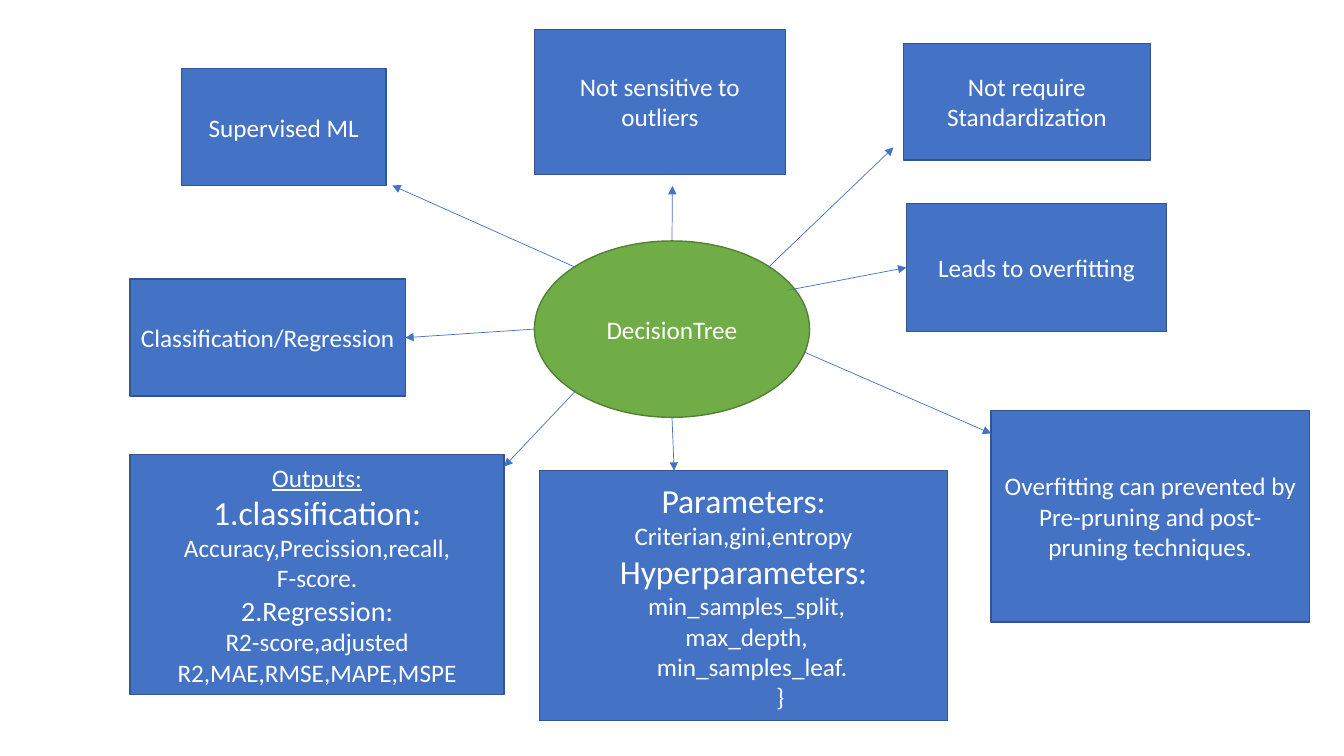
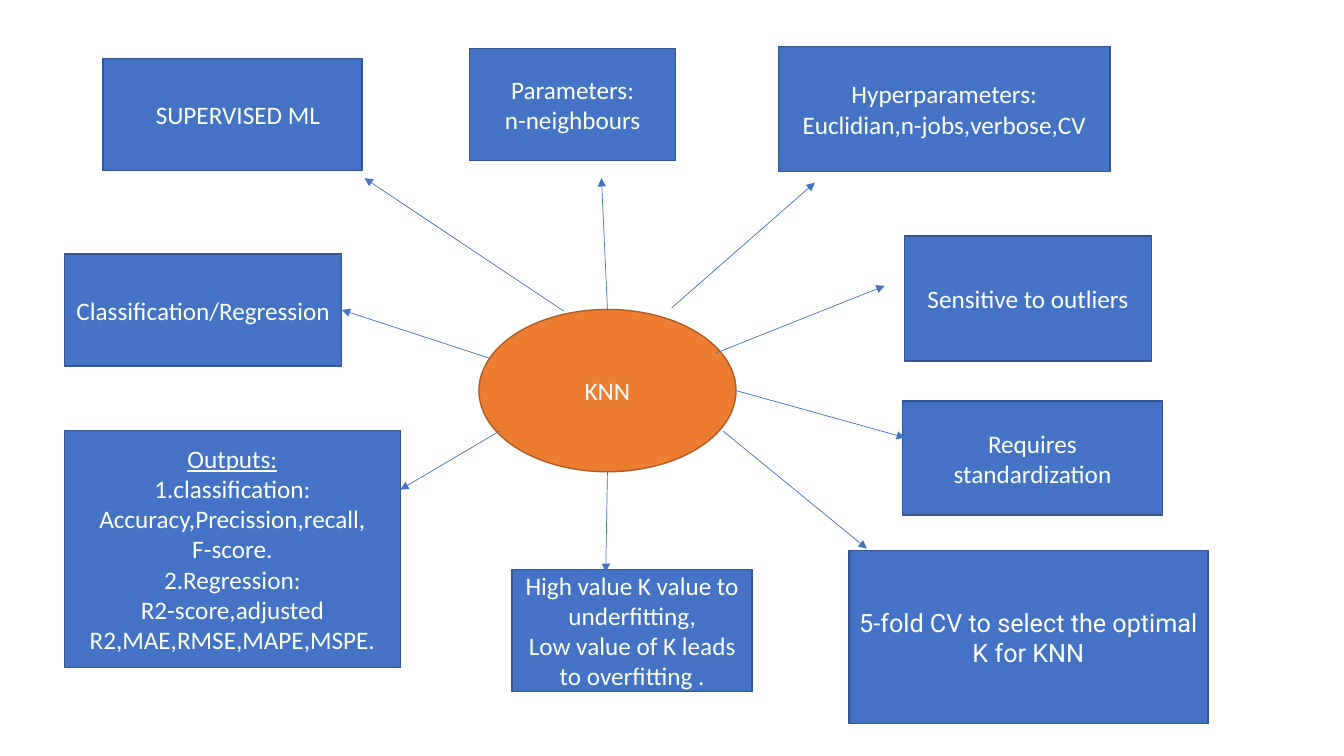
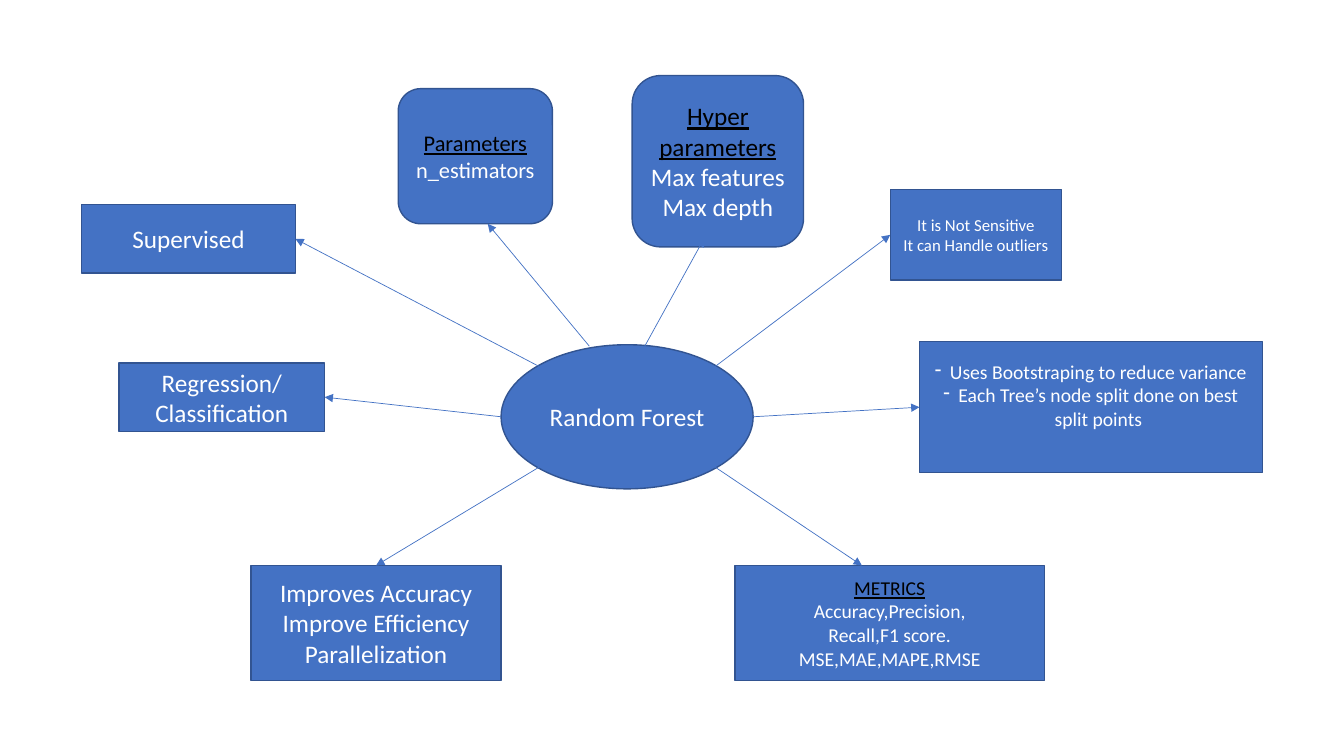
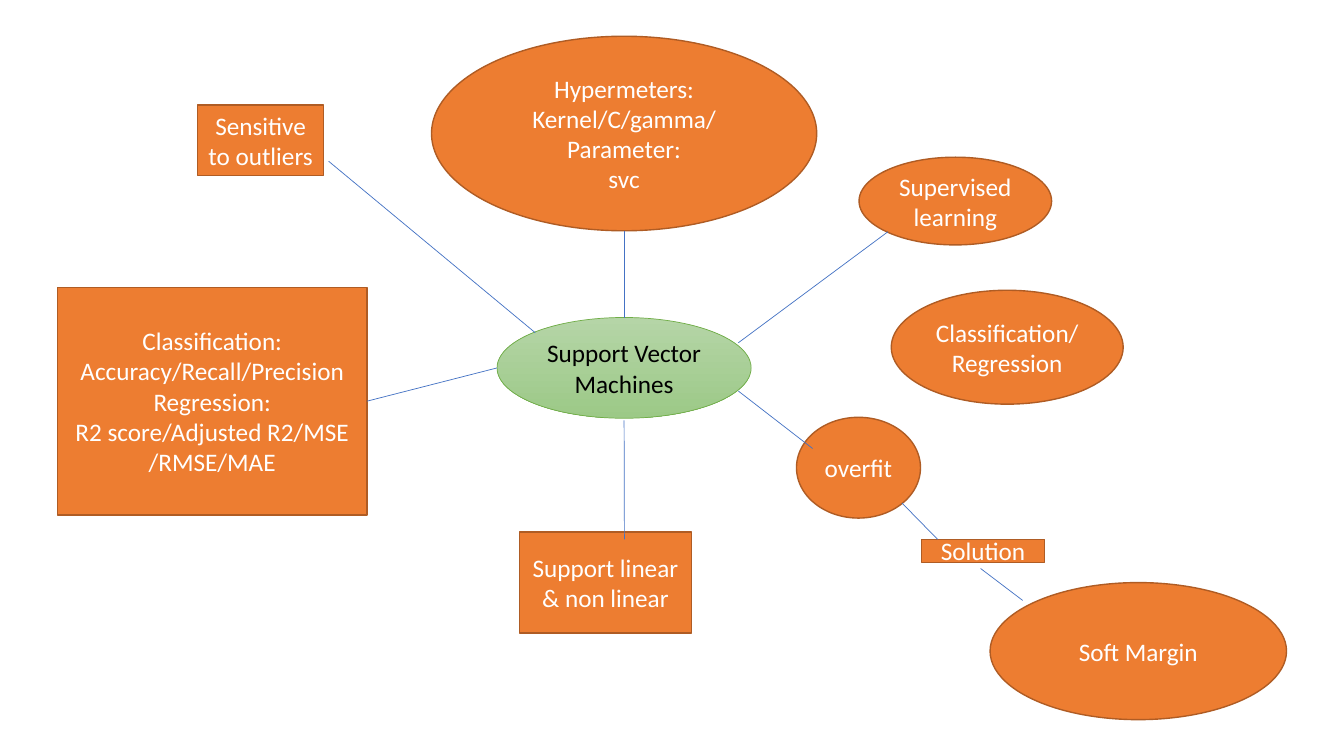
from dataclasses import dataclass
from typing import Any

from lxml import etree
from pptx import Presentation
from pptx import util as u
from pptx.dml.color import RGBColor
from pptx.enum import shapes, text
from pptx.oxml.ns import qn


# Theme: every colour, type size and line width
@dataclass(frozen=True)
class Theme:
    font: str = "Calibri"
    alt_font: str = "Roboto"
    white: str = "FFFFFF"
    black: str = "000000"
    blue: tuple = ("4472C4", "325491")       # fill, outline
    orange: tuple = ("ED7D31", "AF5C24")
    green: tuple = ("70AD47", "538035")
    pale_green: tuple = (("B5D5A7", "9CC987"), "70AD47")
    spoke: str = "4472C4"
    huge: int = 24
    large: int = 20
    body: int = 18
    compact: int = 16
    small: int = 14
    tiny: int = 12
    outline: float = 1
    hairline: float = 0.5


THEME = Theme()

# Grid: square cells of one inch, 13.33 columns by 7.5 rows
CELL = u.Inches(1)
COLUMNS, ROWS = 13.33, 7.5
PAGE = (0, 0, COLUMNS, ROWS)

RECT = shapes.MSO_SHAPE.RECTANGLE
ROUND = shapes.MSO_SHAPE.ROUNDED_RECTANGLE
OVAL = shapes.MSO_SHAPE.OVAL

# Points on an oval, as shares of its box
NEAR, FAR = 0.15, 0.85
N, S, W, E = (0.5, 0), (0.5, 1), (0, 0.5), (1, 0.5)
NW, NE, SW, SE = (NEAR, NEAR), (FAR, NEAR), (NEAR, FAR), (FAR, FAR)

# Middles of a rectangle's sides, joined by connection site
TOP, LEFT, RIGHT = 0, 1, 3


@dataclass
class Line:
    """One paragraph; unset values come from its topic."""
    words: str
    size: Any = None
    color: str = THEME.white
    underline: bool = False
    indent: float = 0
    dash: bool = False


@dataclass
class Topic:
    """A node; start and end are points of the spoke that leads to it."""
    box: tuple
    lines: list
    start: Any = None
    end: Any = None
    form: Any = RECT
    size: int = THEME.body
    font: str = THEME.font
    parent: str = ""
    space_below: float = 0.05


def cells(count):
    return int(count * CELL)


def rgb(value):
    return RGBColor.from_string(value)


def point(shape, share):
    return (int(shape.left + shape.width * share[0]),
            int(shape.top + shape.height * share[1]))


def write_line(paragraph, line, topic):
    paragraph.text = line.words
    paragraph.alignment = text.PP_ALIGN.CENTER
    font = paragraph.runs[0].font
    font.name, font.size = topic.font, u.Pt(line.size or topic.size)
    font.color.rgb = rgb(line.color)
    if line.underline:
        font.underline = True
    properties = paragraph._p.get_or_add_pPr()
    if line.indent:
        properties.set("marL", str(cells(line.indent)))
    if line.dash:
        properties.set("indent", str(-cells(line.indent)))
        etree.SubElement(properties, qn("a:buChar")).set("char", "-")


def draw_node(slide, area, topic, palette):
    left, top, width, height = topic.box
    node = slide.shapes.add_shape(
        topic.form, cells(area[0] + left), cells(area[1] + top),
        cells(width), cells(height))
    node.shadow.inherit = False
    fill, outline = palette
    if isinstance(fill, tuple):
        node.fill.gradient()
        node.fill.gradient_angle = 270
        for stop, color in zip(node.fill.gradient_stops, fill):
            stop.color.rgb = rgb(color)
    else:
        node.fill.solid()
        node.fill.fore_color.rgb = rgb(fill)
    node.line.color.rgb = rgb(outline)
    node.line.width = u.Pt(THEME.hairline if isinstance(fill, tuple) else THEME.outline)

    frame = node.text_frame
    frame.word_wrap = True
    frame.vertical_anchor = text.MSO_ANCHOR.MIDDLE
    frame.margin_bottom = cells(topic.space_below)
    lines = [Line(item) if isinstance(item, str) else item for item in topic.lines]
    frame.text = "\n".join(line.words for line in lines)
    for paragraph, line in zip(frame.paragraphs, lines):
        write_line(paragraph, line, topic)
    return node


def draw_spoke(slide, origin, node, topic, arrow):
    joined = isinstance(topic.end, int)
    begin = point(origin, topic.start)
    finish = point(node, N if joined else topic.end)
    spoke = slide.shapes.add_connector(shapes.MSO_CONNECTOR.STRAIGHT, *begin, *finish)
    if joined:
        spoke.end_connect(node, topic.end)
    spoke.line.color.rgb = rgb(THEME.spoke)
    spoke.line.width = u.Pt(THEME.hairline)
    if arrow:
        etree.SubElement(spoke.line._get_or_add_ln(), qn("a:tailEnd")).set("type", "triangle")
    etree.SubElement(spoke._element.spPr, qn("a:effectLst"))


def mind_map(slide, area, hub, hub_palette, topics, palette=THEME.blue, arrow=True):
    """Place a hub, its topics and the spokes between them inside an area."""
    center = draw_node(slide, area, hub, hub_palette)
    nodes = [draw_node(slide, area, topic, palette) for topic in topics]
    by_name = {topic.lines[0]: node for topic, node in zip(topics, nodes)
               if isinstance(topic.lines[0], str)}
    for topic, node in zip(topics, nodes):
        if topic.start:
            draw_spoke(slide, by_name.get(topic.parent, center), node, topic, arrow)


def outputs(step_sizes, ending):
    """The list of output metrics that two of the maps share."""
    first, second = step_sizes
    return [Line("Outputs:", underline=True),
            Line("1.classification:", first),
            "Accuracy,Precission,recall,", "F-score.",
            Line("2.Regression:", second),
            "R2-score,adjusted R2,MAE,RMSE,MAPE,MSPE" + ending]


def heading(words):
    return Line(words, color=THEME.black, underline=True)


def decision_tree(slide, area):
    hub = Topic((5.3, 2.39, 2.73, 1.75), ["DecisionTree"], form=OVAL)
    mind_map(slide, area, hub, THEME.green, [
        Topic((1.8, 0.68, 2.03, 1.16), ["Supervised ML"], NW, (1.03, 1)),
        Topic((1.29, 2.77, 2.73, 1.16), ["Classification/Regression"], W, RIGHT),
        Topic((5.35, 4.67, 4.05, 2.48), [
            Line("Parameters:", THEME.huge),
            "Criterian,gini,entropy",
            Line("Hyperparameters:", THEME.huge),
            Line("min_samples_split,", indent=0.06),
            Line("max_depth,", indent=0.06),
            Line("min_samples_leaf.", indent=0.17),
            Line("}", indent=0.73)], S, (0.33, 0)),
        Topic((1.29, 4.51, 3.71, 2.38), outputs((THEME.huge, THEME.large), ""),
              SW, (1, 0.05)),
        Topic((5.3, 0.29, 2.49, 1.44), ["Not sensitive to outliers"], N, (0.55, 1.08)),
        Topic((8.96, 0.43, 2.45, 1.16), ["Not require Standardization"], NE, (-0.04, 0.89)),
        Topic((8.99, 2.02, 2.58, 1.27), ["Leads to overfitting"], (0.92, 0.28), LEFT),
        Topic((9.83, 4.07, 3.16, 2.1), [
            "Overfitting can prevented by",
            "Pre-pruning and post-pruning techniques."], (0.98, 0.63), (0, 0.11)),
    ])


def nearest_neighbours(slide, area):
    hub = Topic((4.75, 3.07, 2.55, 1.61), ["KNN"], form=OVAL)
    mind_map(slide, area, hub, THEME.orange, [
        Topic((1.02, 0.58, 2.57, 1.11), [Line("SUPERVISED ML", indent=0.11)],
              (0.33, 0.01), (1.01, 1.07)),
        Topic((0.64, 2.52, 2.75, 1.11), ["Classification/Regression"], (0.04, 0.3), RIGHT),
        Topic((7.72, 0.46, 3.29, 1.24), ["Hyperparameters:", "Euclidian,n-jobs,verbose,CV"],
              (0.75, -0.01), (0.11, 1.09)),
        Topic((8.97, 2.34, 2.45, 1.24), ["Sensitive to outliers"], (0.92, 0.27), (-0.08, 0.4)),
        Topic((8.95, 3.98, 2.58, 1.13), ["Requires standardization"], E, (0.01, 0.32)),
        Topic((4.66, 0.48, 2.04, 1.11), ["Parameters:", "n-neighbours"], N, (0.64, 1.16)),
        Topic((0.64, 4.27, 3.33, 2.35), outputs((None, None), "."), (0.08, 0.75), (1, 0.25)),
        Topic((5.08, 5.65, 2.38, 1.21), [
            "High value K value to underfitting,",
            "Low value of K leads to overfitting ."], S, (0.39, 0.02)),
        Topic((8.42, 5.46, 3.56, 1.72), ["5-fold CV to select the optimal K for KNN"],
              (0.95, 0.75), (0.05, -0.01), font=THEME.alt_font),
    ])


def random_forest(slide, area):
    hub = Topic((4.97, 3.42, 2.5, 1.43), ["Random Forest"], form=OVAL)
    mind_map(slide, area, hub, THEME.blue, [
        Topic((6.27, 0.75, 1.7, 1.7), [heading("Hyper parameters"), "Max features", "Max depth"],
              (0.57, 0.01), (0.42, 0.95), ROUND),
        Topic((1.18, 3.6, 2.04, 0.68), ["Regression/", "Classification"], W, RIGHT),
        Topic((8.83, 1.88, 1.7, 0.9), ["It is Not Sensitive", "It can Handle outliers"],
              NE, LEFT, size=THEME.tiny),
        Topic((0.81, 2.03, 2.12, 0.68), ["Supervised"], NW, RIGHT),
        Topic((9.12, 3.39, 3.4, 1.3), [
            Line("Uses Bootstraping to reduce variance", indent=0.15, dash=True),
            Line("Each Tree’s node split done on best split points", indent=0.15, dash=True)],
            E, LEFT, size=THEME.small, space_below=0.29),
        Topic((2.49, 5.61, 2.48, 1.14),
              ["Improves Accuracy", "Improve Efficiency", "Parallelization"], SW, TOP),
        Topic((7.29, 5.61, 3.07, 1.14), [
            heading("METRICS"), "Accuracy,Precision,", "Recall,F1 score.",
            "MSE,MAE,MAPE,RMSE"], SE, (0.41, 0), size=THEME.small),
        Topic((3.95, 0.88, 1.53, 1.34), [heading("Parameters"), "n_estimators"],
              (0.35, 0.01), (0.58, 1), ROUND, THEME.compact),
    ])


def support_vectors(slide, area):
    hub = Topic((4.93, 3.15, 2.52, 1),
                [Line("Support Vector Machines", color=THEME.black)], form=OVAL)
    mind_map(slide, area, hub, THEME.pale_green, [
        Topic((4.28, 0.36, 3.82, 1.93),
              ["Hypermeters:", "Kernel/C/gamma/", "Parameter:", "svc"], N, S, OVAL),
        Topic((8.52, 1.56, 1.91, 0.87), ["Supervised learning"], (0.95, 0.25), SW, OVAL),
        Topic((7.9, 4.14, 1.23, 1), ["overfit"], (0.95, 0.73), (0.13, 0.31), OVAL),
        Topic((8.84, 2.88, 2.3, 1.13), ["Classification/Regression"], form=OVAL),
        Topic((9.82, 5.78, 2.94, 1.36), ["Soft Margin"], (0.48, 1.26), (0.11, 0.13), OVAL,
              parent="Solution"),
        Topic((0.57, 2.85, 3.07, 2.26), [
            "Classification:", "Accuracy/Recall/Precision", "Regression:",
            "R2 score/Adjusted R2/MSE", "/RMSE/MAE"], W, RIGHT),
        Topic((5.15, 5.28, 1.71, 1), ["Support linear & non linear"], (0.5, 1.02), (0.61, 0.07)),
        Topic((1.96, 1.04, 1.25, 0.7), ["Sensitive to outliers"], NW, (1.04, 0.8)),
        Topic((9.14, 5.35, 1.22, 0.23), ["Solution"], SE, (0.13, 0), parent="overfit"),
    ], THEME.orange, arrow=False)


def main():
    deck = Presentation()
    deck.slide_width, deck.slide_height = cells(COLUMNS), cells(ROWS)
    blank = deck.slide_layouts[6]
    for build in (decision_tree, nearest_neighbours, random_forest, support_vectors):
        build(deck.slides.add_slide(blank), PAGE)
    deck.save("out.pptx")


if __name__ == "__main__":
    main()
